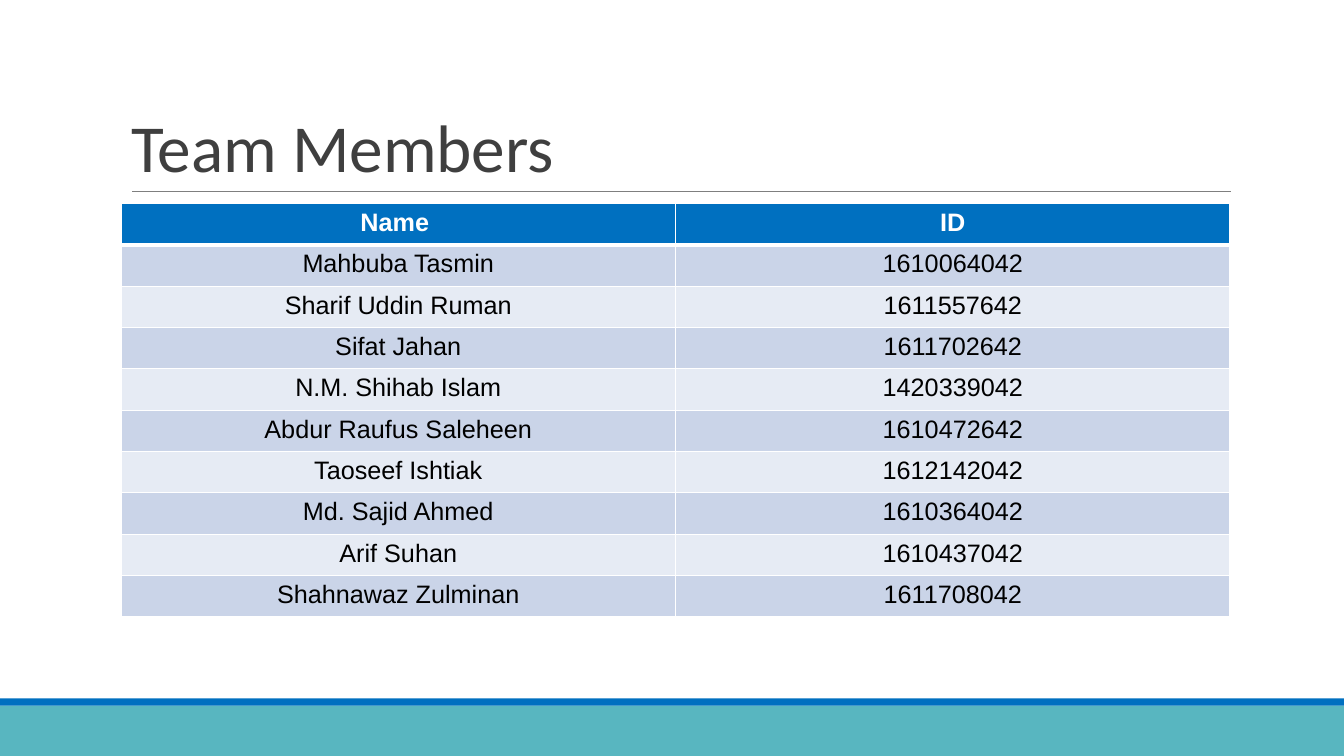
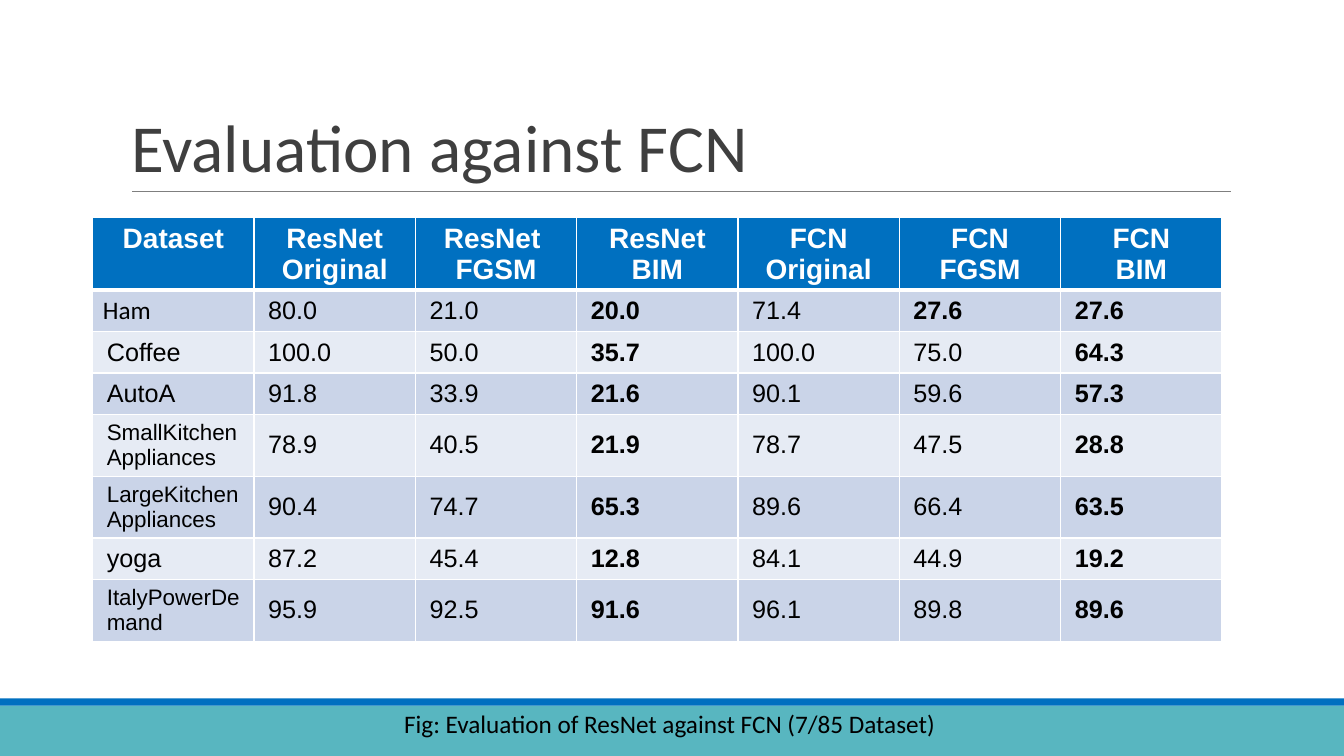
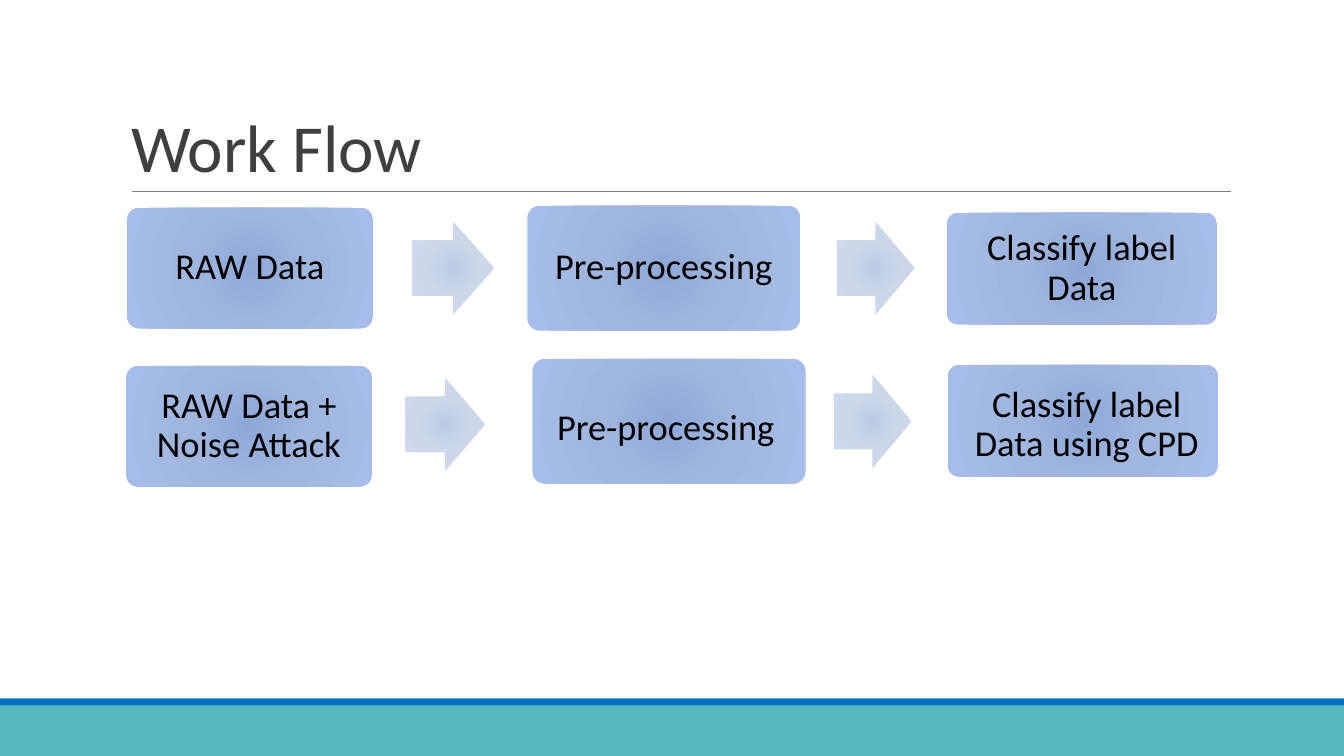
from dataclasses import dataclass
from pptx import Presentation
from pptx.dml.color import RGBColor
from pptx.enum.shapes import MSO_CONNECTOR, MSO_SHAPE
from pptx.enum.text import MSO_ANCHOR, MSO_AUTO_SIZE, PP_ALIGN
from pptx.oxml import parse_xml
from pptx.oxml.ns import nsdecls, qn
from pptx.util import Inches, Pt


@dataclass(frozen=True)
class Theme:
    blue: RGBColor = RGBColor.from_string("0070C0")
    teal: RGBColor = RGBColor.from_string("58B6C0")
    gray: RGBColor = RGBColor.from_string("7F7F7F")
    dark: RGBColor = RGBColor.from_string("3F3F3F")
    black: RGBColor = RGBColor.from_string("000000")
    white: RGBColor = RGBColor.from_string("FFFFFF")
    bands: tuple = (RGBColor.from_string("E6EBF4"), RGBColor.from_string("CAD4E8"))
    box: tuple = ("8FA8D8", "A1B6DF", "A7BCE8")
    arrow: tuple = ("BECBE3", "CCD7EA", "CFDAF0")
    sans: str = "Calibri"
    plain: str = "Arial"
    title: Pt = Pt(48)
    step: Pt = Pt(26)
    head: Pt = Pt(20)
    body: Pt = Pt(18)
    small: Pt = Pt(16)


theme = Theme()


def style(frame, size, color, name, bold=False, align=PP_ALIGN.LEFT, space=None):
    for para in frame.paragraphs:
        para.alignment = align
        para.line_spacing = space
        for run in para.runs:
            run.font.size = size
            run.font.name = name
            run.font.bold = bold
            run.font.color.rgb = color


def grid(slide, left, top, wide, rows, size):
    count = len(rows[0])
    frame = slide.shapes.add_table(
        len(rows), count, Inches(left), Inches(top),
        Inches(wide * count), Inches(0.41 * len(rows)))
    table = frame.table
    for y, row in enumerate(rows):
        table.rows[y].height = Inches(0.41)
        for x, text in enumerate(row):
            cell = table.cell(y, x)
            cell.text_frame.text = text
            cell.fill.solid()
            cell.fill.fore_color.rgb = theme.bands[y % 2] if y else theme.blue
            style(cell.text_frame, theme.body if y else size,
                  theme.black if y else theme.white, theme.plain,
                  not y, PP_ALIGN.CENTER)
    for spot, props in enumerate(frame.element.iter(qn("a:tcPr"))):
        widths = (1, 1, 1, 1 if spot >= count else 3)
        for place, (side, width) in enumerate(zip("LRTB", widths)):
            props.insert(place, parse_xml(
                f'<a:ln{side} {nsdecls("a")} w="{Pt(width)}"><a:solidFill>'
                f'<a:srgbClr val="{theme.white}"/></a:solidFill></a:ln{side}>'))
    return table


deck = Presentation()
deck.slide_width = Inches(13.33)
deck.slide_height = Inches(7.5)
layout = deck.slide_layouts.get_by_name("Title Only")
title = layout.placeholders[0]
title.left, title.top = Inches(1.2), Inches(0.31)
title.width, title.height = Inches(11), Inches(1.59)

pages = []
for name in ("Team Members", "Evaluation against FCN", "Work Flow"):
    slide = deck.slides.add_slide(layout)
    frame = slide.shapes.title.text_frame
    frame.text = name
    frame.vertical_anchor = MSO_ANCHOR.BOTTOM
    frame.auto_size = MSO_AUTO_SIZE.NONE
    frame.word_wrap = True
    style(frame, theme.title, theme.dark, theme.sans, space=0.85)
    pages.append(slide)
team, scores, flow = pages

shared = []
for top, high, color in ((7, 0.5, theme.teal), (6.93, 0.07, theme.blue)):
    band = team.shapes.add_shape(
        MSO_SHAPE.RECTANGLE, 0, Inches(top), deck.slide_width, Inches(high))
    band.shadow.inherit = False
    band.fill.solid()
    band.fill.fore_color.rgb = color
    band.line.fill.background()
    shared.append(band)
rule = team.shapes.add_connector(
    MSO_CONNECTOR.STRAIGHT, Inches(1.31), Inches(1.9), Inches(12.21), Inches(1.9))
rule.line.color.rgb = theme.gray
rule.line.width = Pt(0.75)
rule.element.spPr.append(parse_xml(f'<a:effectLst {nsdecls("a")}/>'))
shared.append(rule)
for spot, shape in enumerate(shared):
    next(shape.element.iter(qn("p:cNvPr"))).set("id", str(20 + spot))
    layout.shapes.element.insert(2 + spot, shape.element)

grid(team, 1.2, 2.02, 5.5, (
    ("Name ", "ID"),
    ("Mahbuba Tasmin", "1610064042"),
    ("Sharif Uddin Ruman", "1611557642"),
    ("Sifat Jahan", "1611702642"),
    ("N.M. Shihab Islam", "1420339042"),
    ("Abdur Raufus Saleheen", "1610472642"),
    ("Taoseef Ishtiak", "1612142042"),
    ("Md. Sajid Ahmed", "1610364042"),
    ("Arif Suhan", "1610437042"),
    ("Shahnawaz Zulminan", "1611708042"),
), theme.body)

rows = (
    ("Dataset", "ResNet\nOriginal", "ResNet \nFGSM", "ResNet\nBIM",
     "FCN\nOriginal", "FCN\nFGSM", "FCN\nBIM"),
    ("Ham", "80.0", "21.0", "20.0", "71.4", "27.6", "27.6"),
    ("Coffee", "100.0", "50.0", "35.7", "100.0", "75.0", "64.3"),
    ("AutoA", "91.8", "33.9", "21.6", "90.1", "59.6", "57.3"),
    ("SmallKitchenAppliances", "78.9", "40.5", "21.9", "78.7", "47.5", "28.8"),
    ("LargeKitchenAppliances", "90.4", "74.7", "65.3", "89.6", "66.4", "63.5"),
    ("yoga", "87.2", "45.4", "12.8", "84.1", "44.9", "19.2"),
    ("ItalyPowerDemand", "95.9", "92.5", "91.6", "96.1", "89.8", "89.6"),
)
table = grid(scores, 0.92, 2.16, 1.6, rows, theme.head)
for y, row in enumerate(rows[1:], 1):
    for x, text in enumerate(row):
        cell = table.cell(y, x)
        if text == "Ham":
            style(cell.text_frame, theme.body, theme.black, theme.sans)
            continue
        cell.vertical_anchor = MSO_ANCHOR.MIDDLE
        cell.margin_left = cell.margin_right = Inches(0.14)
        cell.margin_top = cell.margin_bottom = Inches(0.06)
        style(cell.text_frame, theme.small if len(text) > 10 else theme.body,
              theme.black, theme.plain, x in (3, 6) or (y, x) == (1, 5))

note = scores.shapes.add_textbox(
    Inches(3.91), Inches(6.98), Inches(5.84), Inches(0.4)).text_frame
note.word_wrap = True
note.text = "Fig: Evaluation of ResNet against FCN (7/85 Dataset)"
style(note, theme.body, theme.black, theme.sans)

steps = (
    ("RAW Data", 1.26, 2.06, 2.44, 1.2, 0, 0),
    ("", 4.09, 2.2, 0.81, 0.92, 0, 0),
    ("Pre-processing", 5.23, 2.04, 2.71, 1.24, 0, 0),
    ("", 8.3, 2.2, 0.77, 0.92, 0, 0),
    ("Classify label Data", 9.39, 2.11, 2.68, 1.11, 0, 0),
    ("RAW Data + Noise Attack", 1.25, 3.63, 2.44, 1.2, 0, 0),
    ("", 4.02, 3.75, 0.79, 0.92, 0, 0),
    ("Pre-processing", 5.28, 3.56, 2.71, 1.24, -0.03, 0.07),
    ("", 8.27, 3.72, 0.77, 0.92, 0, 0),
    ("Classify label Data using CPD", 9.4, 3.62, 2.68, 1.11, 0.04, 0.04),
)
for text, left, top, wide, high, right, down in steps:
    kind = MSO_SHAPE.ROUNDED_RECTANGLE if text else MSO_SHAPE.RIGHT_ARROW
    shape = flow.shapes.add_shape(
        kind, Inches(left), Inches(top), Inches(wide), Inches(high))
    shape.adjustments[0] = 0.1 if text else 0.6
    shape.shadow.inherit = False
    shape.line.fill.background()
    stops = "".join(
        f'<a:gs pos="{pos}"><a:srgbClr val="{color}"/></a:gs>'
        for pos, color in zip((0, 45000, 100000), theme.box if text else theme.arrow))
    shape.element.spPr.insert(2, parse_xml(
        f'<a:gradFill {nsdecls("a")} rotWithShape="1"><a:gsLst>{stops}</a:gsLst>'
        '<a:path path="circle"><a:fillToRect l="50000" t="50000" r="50000" b="50000"/>'
        '</a:path></a:gradFill>'))
    if text:
        frame = shape.text_frame
        frame.text = text
        frame.word_wrap = True
        frame.vertical_anchor = MSO_ANCHOR.MIDDLE
        frame.margin_left, frame.margin_right = Inches(0.11 + right), Inches(0.11 - right)
        frame.margin_top, frame.margin_bottom = Inches(0.11 + down), Inches(0.11 - down)
        style(frame, theme.step, theme.black, theme.sans,
              align=PP_ALIGN.CENTER, space=0.9)

deck.save("out.pptx")
